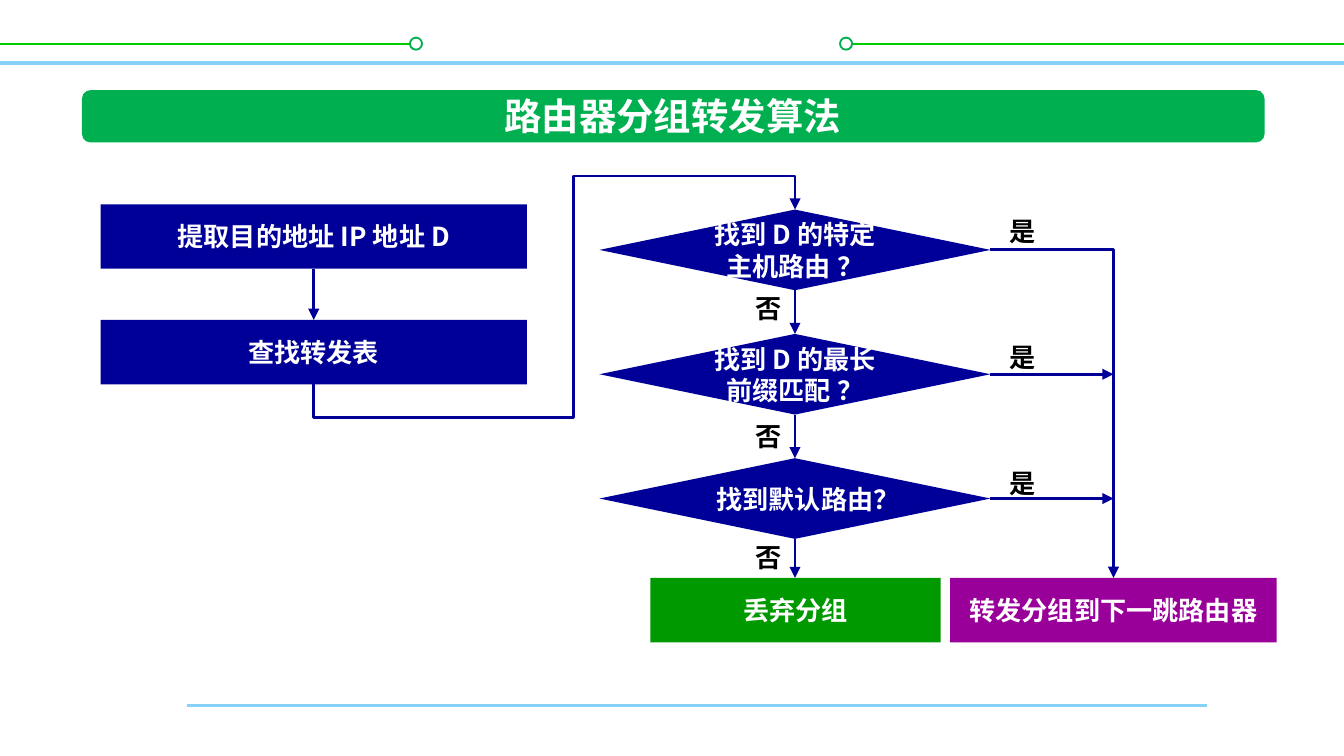
import pptx
import pptx.util
import pptx.dml.color
import pptx.enum.lang
import pptx.enum.shapes
import pptx.enum.text
import pptx.oxml
import pptx.oxml.ns
from dataclasses import dataclass

Inches, Pt = pptx.util.Inches, pptx.util.Pt
Kind = pptx.enum.shapes.MSO_SHAPE
Link = pptx.enum.shapes.MSO_CONNECTOR
Align = pptx.enum.text.PP_ALIGN
Anchor = pptx.enum.text.MSO_ANCHOR


@dataclass
class Theme:
    font: str = "Noto Sans CJK SC"
    head: int = 20
    body: int = 14
    navy: str = "000099"
    green: str = "009900"
    purple: str = "990099"
    bar: str = "00B050"
    lime: str = "00CC00"
    sky: str = "85D1F7"
    white: str = "FFFFFF"
    black: str = "000000"


theme = Theme()

# Content: tests carry the tops of their yes and no labels
TITLE = "路由器分组转发算法"
STEPS = ["提取目的地址 IP 地址 D", "查找转发表"]
TESTS = [("找到 D 的特定主机路由 ？", 1.55, 2.13),
         ("找到 D 的最长前缀匹配 ？", 2.49, 3.08),
         ("找到默认路由？", 3.43, 3.98)]
ENDS = [("丢弃分组", 4.84, 2.16, theme.green),
        ("转发分组到下一跳路由器", 7.07, 2.43, theme.purple)]
YES, NO = "是", "否"

# Grid, in inches, on a 16:9 page
WIDE = 10
HIGH = WIDE * 9 / 16
STEP_X, STEP_Y, STEP_W, STEP_GAP = 0.75, 1.52, 3.17, 0.86
TEST_X, TEST_Y, TEST_W, TEST_H = 4.46, 1.56, 2.91, 0.6
TEST_GAP = (3.41 - TEST_Y) / 2
BOX_H, END_Y = 0.48, 4.3
STEP_MID = STEP_X + STEP_W / 2
TEST_MID = TEST_X + TEST_W / 2
TEST_END = TEST_X + TEST_W
YES_X = ENDS[1][1] + ENDS[1][2] / 2

deck = pptx.Presentation()
deck.slide_width, deck.slide_height = Inches(WIDE), Inches(HIGH)
slide = deck.slides.add_slide(deck.slide_layouts[5])
shapes = slide.shapes


def rgb(code):
    return pptx.dml.color.RGBColor.from_string(code)


def write(shape, text, size, color, align=Align.CENTER, anchor=Anchor.MIDDLE, wrap=True):
    frame = shape.text_frame
    frame.text = text
    frame.word_wrap = wrap
    frame.vertical_anchor = anchor
    para = frame.paragraphs[0]
    para.alignment = align
    for run in para.runs:
        font = run.font
        font.name, font.size, font.bold = theme.font, Pt(size), True
        font.color.rgb = rgb(color)
        font.language_id = pptx.enum.lang.MSO_LANGUAGE_ID.SIMPLIFIED_CHINESE
        east = pptx.oxml.parse_xml(
            f'<a:ea {pptx.oxml.ns.nsdecls("a")} typeface="{theme.font}"/>')
        font._element.find(pptx.oxml.ns.qn("a:latin")).addnext(east)


def block(kind, x, y, w, h, fill, text=None, edge=None):
    shape = shapes.add_shape(kind, *map(Inches, (x, y, w, h)))
    shape.shadow.inherit = False
    shape.fill.solid()
    shape.fill.fore_color.rgb = rgb(fill)
    if edge:
        shape.line.color.rgb = rgb(edge)
        shape.line.width = Pt(1)
    else:
        shape.line.fill.background()
    if text:
        write(shape, text, theme.body, theme.white)
    return shape


def line(start, end, color=theme.navy, width=1.5, arrow=True, kind=Link.STRAIGHT):
    link = shapes.add_connector(kind, *map(Inches, (*start, *end)))
    link.line.color.rgb = rgb(color)
    link.line.width = Pt(width)
    space = pptx.oxml.ns.nsdecls("a")
    if arrow:
        link.line._get_or_add_ln().append(
            pptx.oxml.parse_xml(f'<a:tailEnd {space} type="triangle"/>'))
    link._element.spPr.append(pptx.oxml.parse_xml(f"<a:effectLst {space}/>"))
    return link


def bend(link, preset, turn=0, shares=()):
    """Choose the elbow form, its quarter turns and where it bends."""
    props = link._element.spPr
    props.find(pptx.oxml.ns.qn("a:xfrm")).set("rot", str(turn * 90 * 60000))
    geom = props.find(pptx.oxml.ns.qn("a:prstGeom"))
    geom.set("prst", preset)
    for child in list(geom):
        geom.remove(child)
    guides = "".join(f'<a:gd name="adj{i}" fmla="val {round(s * 100000)}"/>'
                     for i, s in enumerate(shares, 1))
    geom.append(pptx.oxml.parse_xml(
        f'<a:avLst {pptx.oxml.ns.nsdecls("a")}>{guides}</a:avLst>'))


def label(text, x, y):
    box = shapes.add_textbox(*map(Inches, (x, y, 0.4, 0.34)))
    write(box, text, theme.body, theme.black, Align.LEFT, Anchor.TOP, False)


# Rules and rings around the page
line((1.39, 5.25), (8.98, 5.25), theme.sky, 1.5, False)
line((0, 0.47), (WIDE, 0.47), theme.sky, 2, False)
for start, end, ring in [(0, 3.1, 3.05), (6.25, WIDE, 6.25)]:
    line((start, 0.33), (end, 0.33), theme.lime, 1, False)
    block(Kind.OVAL, ring, 0.28, 0.09, 0.09, theme.white, edge=theme.bar)

# Title on its bar
bar = block(Kind.ROUNDED_RECTANGLE, 0.61, 0.67, 8.8, 0.39, theme.bar)
title = shapes.title
title.left, title.top, title.width, title.height = map(Inches, (3.6, 0.64, 2.81, 0.44))
write(title, TITLE, theme.head, theme.white, wrap=False)
bar._element.addnext(title._element)

# Steps
for row, text in enumerate(STEPS):
    block(Kind.RECTANGLE, STEP_X, STEP_Y + row * STEP_GAP, STEP_W, BOX_H, theme.navy, text)
look_y = STEP_Y + STEP_GAP
line((STEP_MID, STEP_Y + BOX_H), (STEP_MID, look_y))

# Outcomes
for text, x, w, fill in ENDS:
    block(Kind.RECTANGLE, x, END_Y, w, BOX_H, fill, text)

# Tests with their yes and no exits
for row, (text, yes_y, no_y) in enumerate(TESTS):
    top = TEST_Y + row * TEST_GAP
    mid, foot = top + TEST_H / 2, top + TEST_H
    last = row == len(TESTS) - 1
    block(Kind.DIAMOND, TEST_X, top, TEST_W, TEST_H, theme.navy, text)
    line((TEST_MID, foot), (TEST_MID, END_Y if last else top + TEST_GAP))
    if row:
        line((TEST_END, mid), (YES_X, mid))
    else:
        bend(line((TEST_END, mid), (YES_X, END_Y), kind=Link.ELBOW), "bentConnector2")
    label(YES, 7.41, yes_y)
    label(NO, 5.52, no_y)

# Route from the last step up to the first test, laid out before its quarter turn
foot = look_y + BOX_H
mid_x, mid_y = (STEP_MID + TEST_MID) / 2, (foot + TEST_Y) / 2
half_w, half_h = (foot - TEST_Y) / 2, (TEST_MID - STEP_MID) / 2
route = line((mid_x + half_w, mid_y + half_h), (mid_x - half_w, mid_y - half_h),
             kind=Link.ELBOW)
bend(route, "bentConnector5", 1, (-0.192, 0.539, 1.192))

deck.save("out.pptx")
